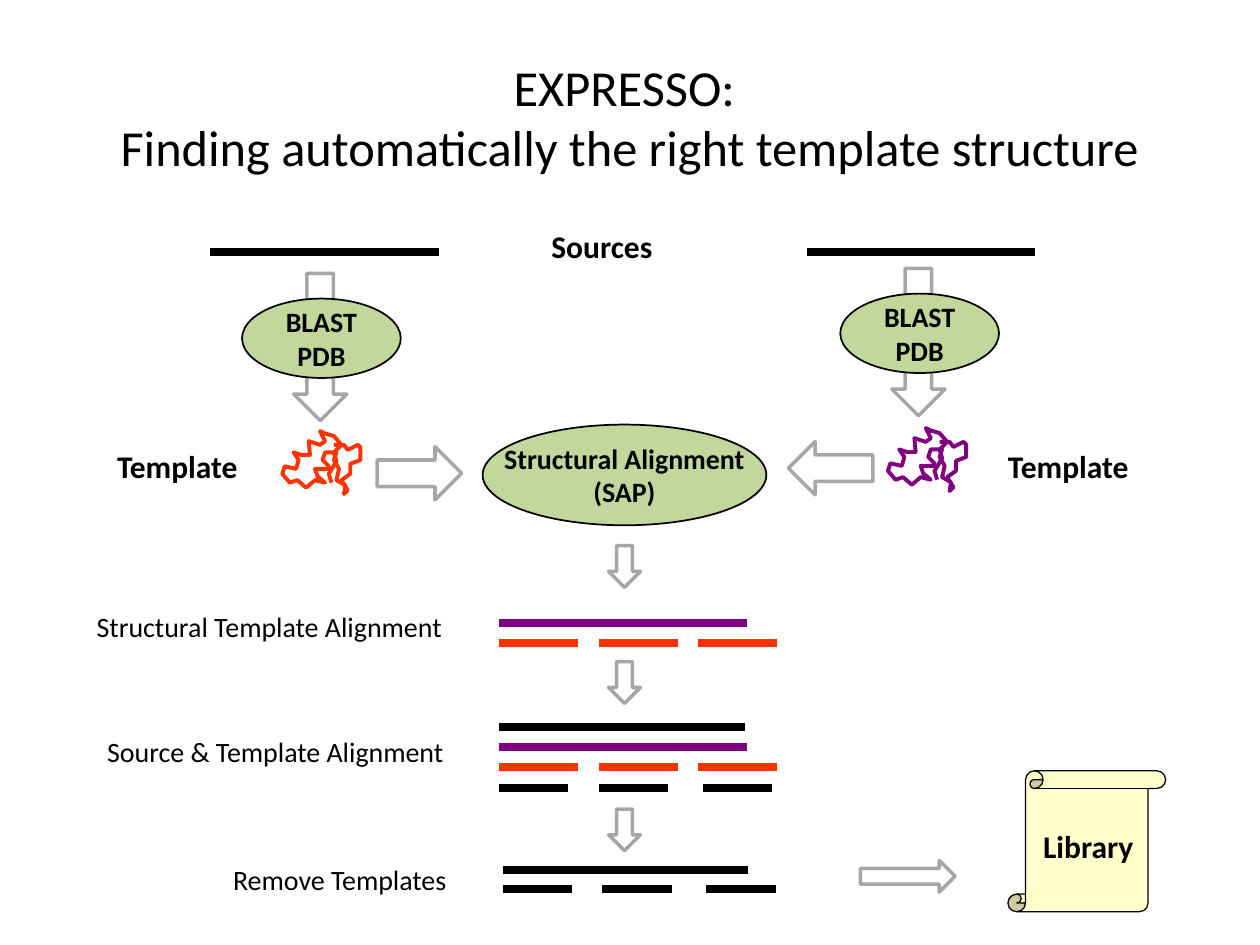
from dataclasses import dataclass

from lxml.etree import SubElement
from pptx import Presentation
from pptx.dml.color import RGBColor
from pptx.enum.shapes import MSO_CONNECTOR as Link, MSO_SHAPE as Preset
from pptx.enum.text import MSO_ANCHOR as Anchor, MSO_AUTO_SIZE as AutoSize, PP_ALIGN as Align
from pptx.oxml.ns import qn
from pptx.util import Cm, Pt


@dataclass(frozen=True)
class Theme:
    font: str = "Calibri"
    ink: str = "000000"
    arrow: str = "A6A6A6"
    step: str = "C3D69B"
    paper: str = "FFFFCC"
    left: str = "FF3300"
    right: str = "800080"
    title: float = 28.8
    label: float = 18
    body: float = 16
    hairline: float = 0.75
    outline: float = 1
    arrow_line: float = 2
    fold_line: float = 2.25
    bar: float = 4.5


FOLD = [
    (39, 41), (37, 34), (43, 24), (41, 17), (47, 11), (41, 4), (34, 2), (30, 0), (34, 8),
    (30, 11), (21, 8), (22, 19), (15, 19), (9, 17), (13, 23), (11, 30), (2, 28), (0, 34),
    (6, 41), (12, 39), (19, 45), (26, 39), (34, 41), (28, 36), (26, 30), (36, 30), (37, 28),
    (32, 23), (34, 17), (43, 17), (41, 23), (45, 30), (43, 39), (50, 43), (49, 50), (52, 47),
    (47, 39), (54, 34), (54, 26), (62, 23), (62, 13), (60, 11), (52, 15), (49, 11), (41, 11),
]


class Diagram:
    def __init__(self, page, theme):
        self.page = page
        self.theme = theme

    def set_text(self, frame, text, size, bold=False, align=Align.CENTER):
        frame.text = text
        for para in frame.paragraphs:
            para.alignment = align
            for span in para.runs:
                span.font.name = self.theme.font
                span.font.size = Pt(size)
                span.font.bold = bold
                span.font.color.rgb = RGBColor.from_string(self.theme.ink)

    def paint(self, shape, line, width, fill=None):
        shape.shadow.inherit = False
        if fill:
            shape.fill.solid()
            shape.fill.fore_color.rgb = RGBColor.from_string(fill)
        else:
            shape.fill.background()
        shape.line.color.rgb = RGBColor.from_string(line)
        shape.line.width = Pt(width)

    def title(self, text, x, y, width, height):
        box = self.page.shapes.title
        box.left, box.top, box.width, box.height = Cm(x), Cm(y), Cm(width), Cm(height)
        box.text_frame.vertical_anchor = Anchor.MIDDLE
        self.set_text(box.text_frame, text, self.theme.title)

    def label(self, text, x, y, width, height, size, bold=False, align=Align.LEFT, wrap=False):
        box = self.page.shapes.add_textbox(Cm(x), Cm(y), Cm(width), Cm(height))
        box.text_frame.word_wrap = wrap
        box.text_frame.auto_size = AutoSize.SHAPE_TO_FIT_TEXT
        self.set_text(box.text_frame, text, size, bold, align)

    def scroll(self, x, y, width, height):
        shape = self.page.shapes.add_shape(
            Preset.VERTICAL_SCROLL, Cm(x), Cm(y), Cm(width), Cm(height))
        self.paint(shape, self.theme.ink, self.theme.hairline, self.theme.paper)

    def step(self, text, x, y, width, height):
        shape = self.page.shapes.add_shape(Preset.OVAL, Cm(x), Cm(y), Cm(width), Cm(height))
        self.paint(shape, self.theme.ink, self.theme.outline, self.theme.step)
        shape.text_frame.word_wrap = False
        shape.text_frame.vertical_anchor = Anchor.MIDDLE
        self.set_text(shape.text_frame, text, self.theme.body, bold=True)

    def arrow(self, x, y, width, height, turn=0):
        shape = self.page.shapes.add_shape(
            Preset.DOWN_ARROW, Cm(x), Cm(y), Cm(width), Cm(height))
        shape.rotation = turn
        self.paint(shape, self.theme.arrow, self.theme.arrow_line)

    def bars(self, y, length, starts, color):
        for x in starts:
            bar = self.page.shapes.add_connector(
                Link.STRAIGHT, Cm(x), Cm(y), Cm(x + length), Cm(y))
            bar.line.color.rgb = RGBColor.from_string(color)
            bar.line.width = Pt(self.theme.bar)
            SubElement(bar.element.spPr, qn("a:effectLst"))

    def fold(self, x, y, color):
        outline = self.page.shapes.build_freeform(*FOLD[0], scale=Cm(2.54) / 100)
        outline.add_line_segments(FOLD[1:], close=False)
        shape = outline.convert_to_shape(Cm(x), Cm(y))
        self.paint(shape, color, self.theme.fold_line)


def main():
    deck = Presentation()
    deck.slide_width, deck.slide_height = Cm(25.4), Cm(19.05)
    theme = Theme()
    diagram = Diagram(deck.slides.add_slide(deck.slide_layouts[5]), theme)

    diagram.title("EXPRESSO: \vFinding automatically the right template structure",
                  1.27, 0.76, 22.86, 3.18)
    diagram.scroll(20.32, 15.54, 3.18, 2.84)

    diagram.bars(5.08, 4.6, (4.24, 16.26), theme.ink)
    for y in (12.55, 15.06):
        diagram.bars(y, 5, (10.06,), theme.right)
        diagram.bars(y + 0.41, 1.6, (10.06, 12.07, 14.07), theme.left)
    for x, y, gap in ((10.06, 14.66, 1.22), (10.13, 17.53, 0.4)):
        diagram.bars(y, 4.95, (x,), theme.ink)
        diagram.bars(y + gap, 1.4, (x, x + 2.01, x + 4.11), theme.ink)

    diagram.fold(5.69, 8.69, theme.left)
    diagram.fold(17.9, 8.63, theme.right)

    diagram.label("Sources", 10.74, 4.45, 2.79, 1.02, theme.label, True, Align.CENTER, True)
    for text, x, y, width in (("Template", 2.11, 8.89, 2.97),
                              ("Template", 20.07, 8.89, 2.97),
                              ("Library", 20.78, 16.54, 2.67)):
        diagram.label(text, x, y, width, 1.02, theme.label, True)
    for text, x, y, width in (("Structural Template Alignment", 1.7, 12.17, 7.62),
                              ("Source & Template Alignment", 1.91, 14.68, 7.37),
                              ("Remove Templates", 4.45, 17.27, 4.88)):
        diagram.label(text, x, y, width, 0.94, theme.body)

    for x, y in ((4.88, 6.02), (16.94, 5.92)):
        diagram.arrow(x + 1.04, y - 0.51, 1.07, 2.97)
        diagram.step("BLAST\nPDB", x, y, 3.2, 1.6)
    diagram.step("Structural Alignment\n(SAP)", 9.73, 8.56, 5.72, 2.03)

    diagram.arrow(7.92, 8.69, 1.07, 1.7, 270)
    diagram.arrow(16.21, 8.59, 1.07, 1.7, 90)
    for y in (11, 13.34, 16.31):
        diagram.arrow(12.27, y, 0.64, 0.84)
    diagram.arrow(17.98, 16.71, 0.64, 1.91, 270)

    deck.save("out.pptx")


if __name__ == "__main__":
    main()
